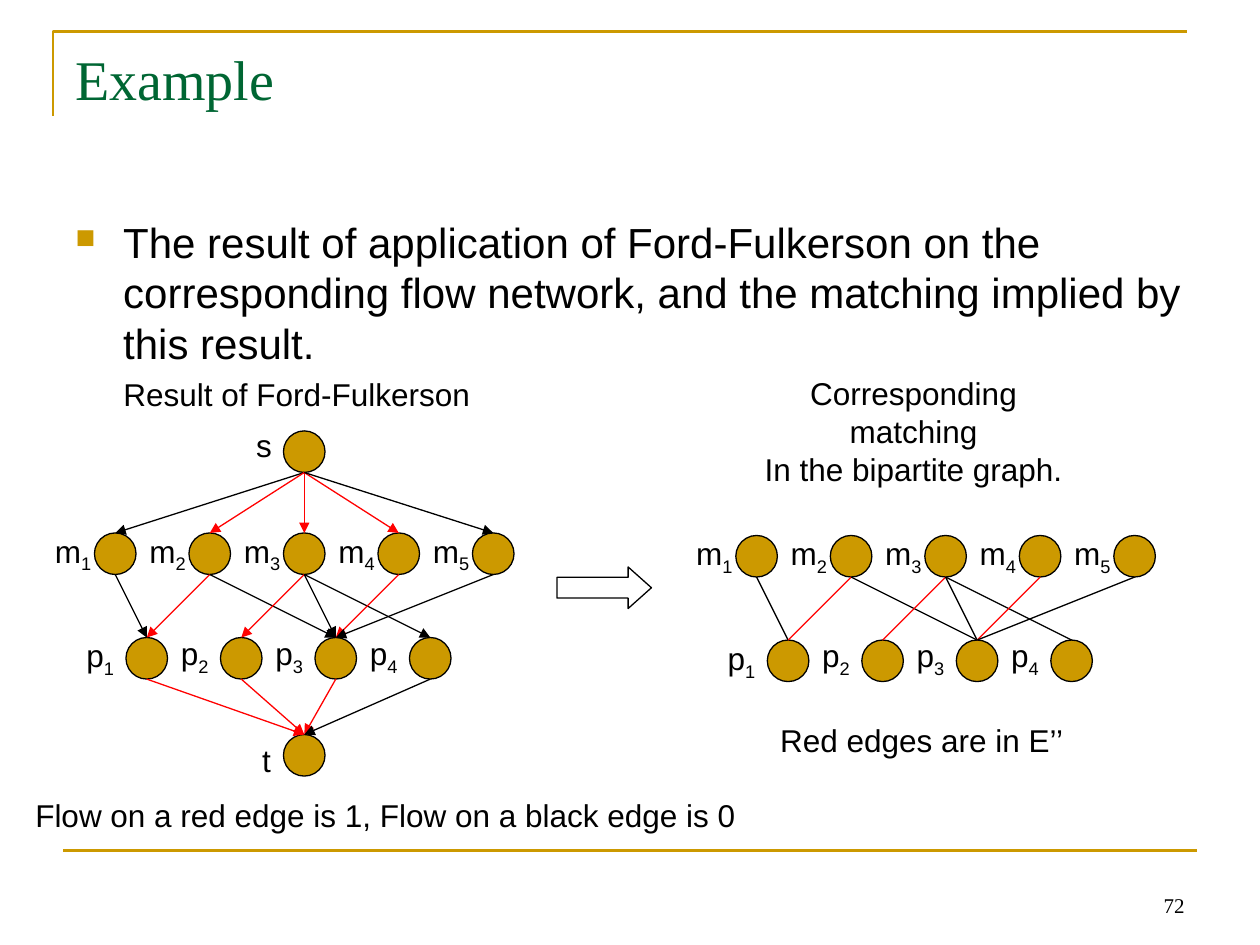
"""Build a slide on bipartite matching found with Ford-Fulkerson."""
from typing import NamedTuple

from lxml.etree import SubElement
from pptx import Presentation
from pptx.dml.color import RGBColor
from pptx.enum.shapes import MSO_CONNECTOR as CONN, MSO_SHAPE as SHAPE
from pptx.enum.text import MSO_ANCHOR as ANCHOR, MSO_AUTO_SIZE as AUTO, PP_ALIGN as ALIGN
from pptx.oxml.ns import qn
from pptx.util import Inches, Pt

GOLD = RGBColor(0xCC, 0x99, 0x00)
GREEN = RGBColor(0x00, 0x66, 0x33)
BLACK = RGBColor(0x00, 0x00, 0x00)
RED = RGBColor(0xFF, 0x01, 0x01)
SANS, SERIF = "Arial", "Times New Roman"
NODE, STEP, ROW_GAP, INDENT = 0.33, 0.75, 0.83, 0.25


class Node(NamedTuple):
    x: float
    y: float

    @property
    def top(self) -> tuple[float, float]:
        return self.x + NODE / 2, self.y

    @property
    def bottom(self) -> tuple[float, float]:
        return self.x + NODE / 2, self.y + NODE


class Edge(NamedTuple):
    m: int
    p: int
    color: RGBColor


class Caption(NamedTuple):
    x: float
    y: float
    w: float
    h: float
    text: str


EDGES = [
    Edge(1, 1, BLACK), Edge(2, 1, RED), Edge(2, 3, BLACK), Edge(3, 2, RED),
    Edge(3, 3, BLACK), Edge(3, 4, BLACK), Edge(4, 3, RED), Edge(5, 3, BLACK),
]
SOURCE_COLORS = [BLACK, RED, RED, RED, BLACK]
SINK_COLORS = [RED, RED, RED, BLACK]
CAPTIONS = [
    Caption(5.79, 2.92, 2.92, 0.7, "Corresponding matching\nIn the bipartite graph."),
    Caption(0.88, 2.93, 2.95, 0.4, "Result of Ford-Fulkerson"),
    Caption(1.93, 3.33, 0.33, 0.4, "s"),
    Caption(1.98, 5.83, 0.27, 0.4, "t"),
    Caption(0.18, 6.27, 5.76, 0.4, "Flow on a red edge is 1, Flow on a black edge is 0"),
    Caption(6.09, 5.67, 2.45, 0.4, "Red edges are in E’’"),
]


def add_text(slide, box: Caption, size: float = 18, font: str = SANS,
             color: RGBColor = BLACK, align=ALIGN.CENTER, wrap: bool = False):
    tf = slide.shapes.add_textbox(*map(Inches, box[:4])).text_frame
    tf.word_wrap = wrap
    tf.auto_size = AUTO.NONE if wrap else AUTO.SHAPE_TO_FIT_TEXT
    tf.text = box.text
    for p in tf.paragraphs:
        p.alignment = align
        for r in p.runs:
            r.font.size, r.font.name = Pt(size), font
            r.font.color.rgb = color
    return tf


def add_label(slide, x: float, y: float, w: float, letter: str, index: int) -> None:
    p = add_text(slide, Caption(x, y, w, 0.4, letter)).paragraphs[0]
    r = p.add_run()
    r.text = str(index)
    r.font.size, r.font.name = Pt(18), SANS
    r.font.color.rgb = BLACK
    r._r.get_or_add_rPr().set("baseline", "-25000")


def add_line(slide, start: tuple[float, float], end: tuple[float, float],
             color: RGBColor, width: float = 0.75, arrow: bool = False) -> None:
    line = slide.shapes.add_connector(CONN.STRAIGHT, *map(Inches, (*start, *end)))
    line.line.color.rgb = color
    line.line.width = Pt(width)
    if arrow:
        SubElement(line.line._get_or_add_ln(), qn("a:tailEnd"), type="triangle")
    SubElement(line._element.spPr, qn("a:effectLst"))


def add_node(slide, node: Node) -> None:
    sp = slide.shapes.add_shape(SHAPE.OVAL, *map(Inches, (*node, NODE, NODE)))
    sp.shadow.inherit = False
    sp.fill.solid()
    sp.fill.fore_color.rgb = GOLD
    sp.line.color.rgb = BLACK
    sp.line.width = Pt(0.75)


def add_bipartite(slide, x: float, y: float, arrow: bool) -> tuple[list[Node], list[Node]]:
    ms = [Node(x + i * STEP, y) for i in range(5)]
    ps = [Node(x + INDENT + i * STEP, y + ROW_GAP) for i in range(4)]
    for node in ms + ps:
        add_node(slide, node)
    for i, m in enumerate(ms, 1):
        add_label(slide, m.x - 0.42, m.y - 0.06, 0.5, "m", i)
    for i, p in enumerate(ps, 1):
        add_label(slide, p.x - 0.42, p.y - (0.06 if i == 1 else 0.08), 0.43, "p", i)
    for edge in EDGES:
        add_line(slide, ms[edge.m - 1].bottom, ps[edge.p - 1].top, edge.color, arrow=arrow)
    return ms, ps


def add_flow_network(slide) -> None:
    ms, ps = add_bipartite(slide, 0.75, 4.23, True)
    source, sink = Node(2.25, 3.42), Node(2.25, 5.83)
    add_node(slide, source)
    add_node(slide, sink)
    for m, color in zip(ms, SOURCE_COLORS):
        add_line(slide, source.bottom, m.top, color, arrow=True)
    for p, color in zip(ps, SINK_COLORS):
        add_line(slide, p.bottom, sink.top, color, arrow=True)


def add_frame(slide) -> None:
    fb = slide.shapes.build_freeform(Inches(0.42), Inches(0.92))
    fb.add_line_segments([(Inches(0.42), Inches(0.25)), (Inches(9.42), Inches(0.25))], close=False)
    sp = fb.convert_to_shape()
    sp.shadow.inherit = False
    sp.fill.background()
    sp.line.color.rgb = GOLD
    sp.line.width = Pt(1.5)
    add_line(slide, (0.5, 6.75), (9.5, 6.75), GOLD, 1.5)


def add_body(slide) -> None:
    text = ("The result of application of Ford-Fulkerson on the corresponding "
            "flow network, and the matching implied by this result.")
    tf = add_text(slide, Caption(0.5, 1.67, 9, 1.3, text), 24, align=ALIGN.LEFT, wrap=True)
    pPr = tf.paragraphs[0]._p.get_or_add_pPr()
    pPr.set("marL", str(Inches(0.38)))
    pPr.set("indent", str(Inches(-0.38)))
    SubElement(SubElement(pPr, qn("a:buClr")), qn("a:srgbClr"), val=str(GOLD))
    SubElement(pPr, qn("a:buSzPct"), val="65000")
    SubElement(pPr, qn("a:buChar"), char="■")


def add_block_arrow(slide) -> None:
    sp = slide.shapes.add_shape(SHAPE.RIGHT_ARROW, *map(Inches, (4.42, 4.5, 0.75, 0.33)))
    sp.shadow.inherit = False
    sp.adjustments[1] = 0.56
    sp.fill.background()
    sp.line.color.rgb = BLACK
    sp.line.width = Pt(0.75)


def main() -> None:
    prs = Presentation()
    prs.slide_width, prs.slide_height = Inches(10), Inches(7.5)
    slide = prs.slides.add_slide(prs.slide_layouts[6])
    add_frame(slide)
    number = add_text(slide, Caption(7.17, 6.83, 2.33, 0.5, "72"), 12, SERIF,
                      align=ALIGN.RIGHT, wrap=True)
    number.vertical_anchor = ANCHOR.BOTTOM
    add_text(slide, Caption(0.5, 0.3, 9, 1.25, "Example"), 32, SERIF, GREEN, ALIGN.LEFT, True)
    add_body(slide)
    add_bipartite(slide, 5.84, 4.25, False)
    add_flow_network(slide)
    for caption in CAPTIONS:
        add_text(slide, caption)
    add_block_arrow(slide)
    prs.save("out.pptx")


if __name__ == "__main__":
    main()
